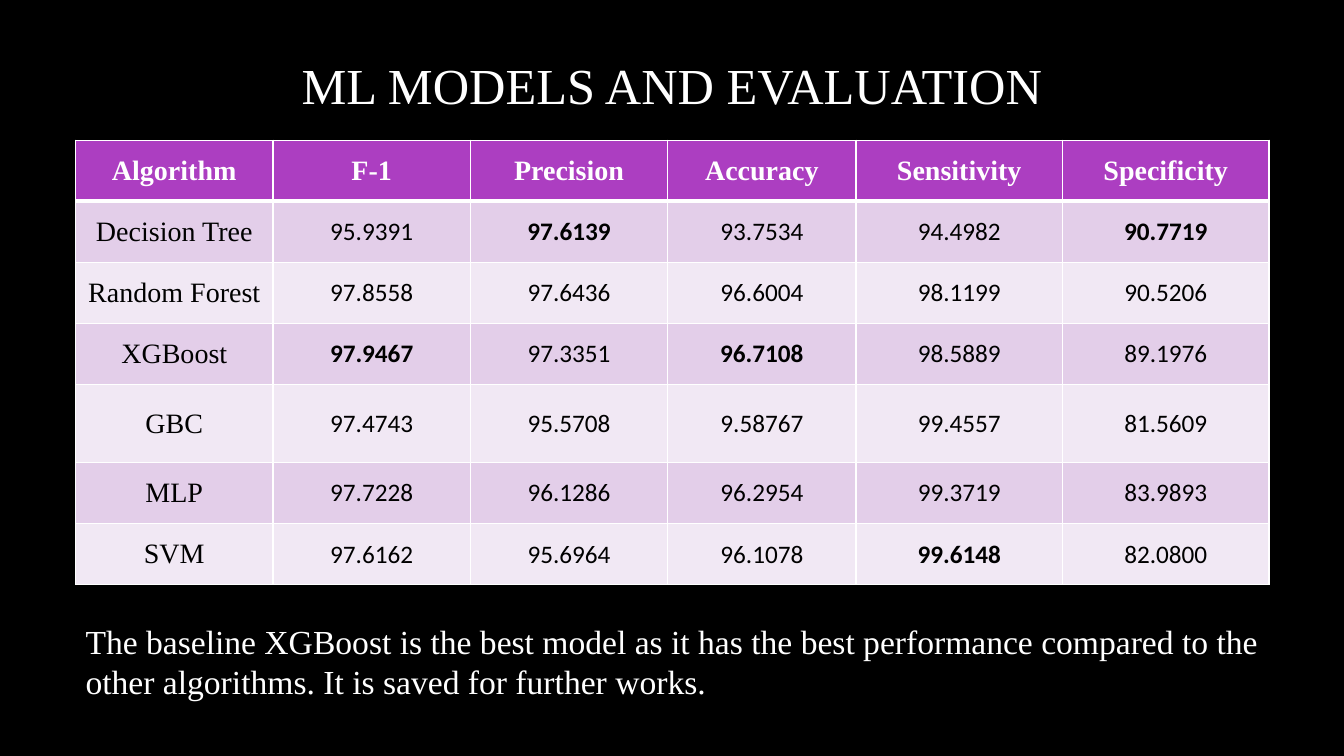
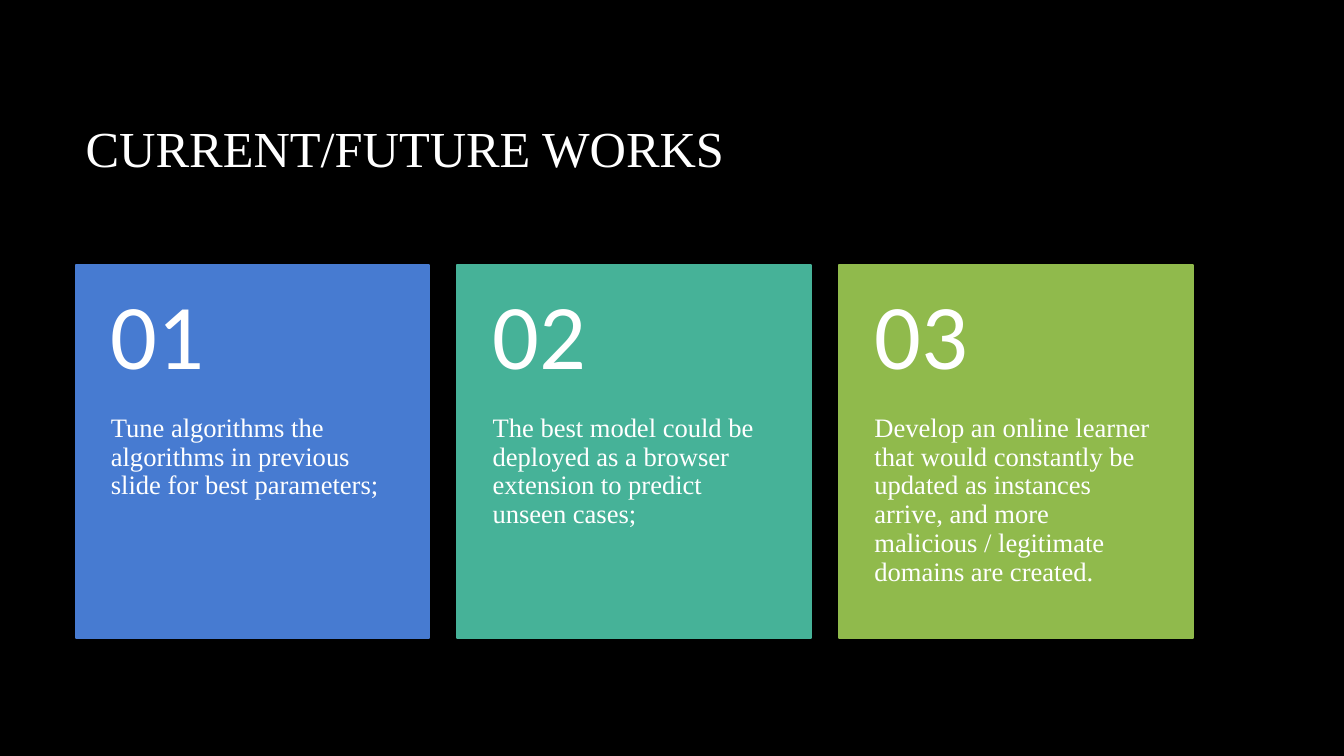
from lxml import etree
from pptx import Presentation
from pptx.dml.color import RGBColor
from pptx.enum.shapes import MSO_SHAPE
from pptx.enum.text import MSO_ANCHOR, MSO_AUTO_SIZE, PP_ALIGN
from pptx.oxml.ns import qn
from pptx.util import Pt

RECTANGLE = MSO_SHAPE.RECTANGLE
TOP, MIDDLE = MSO_ANCHOR.TOP, MSO_ANCHOR.MIDDLE
LEFT, CENTER = PP_ALIGN.LEFT, PP_ALIGN.CENTER
NO_AUTOFIT = MSO_AUTO_SIZE.NONE

BLACK = RGBColor(0x00, 0x00, 0x00)
WHITE = RGBColor(0xFF, 0xFF, 0xFF)
PURPLE = RGBColor(0xAC, 0x3E, 0xC1)
BANDS = (RGBColor(0xE3, 0xCE, 0xE9), RGBColor(0xF1, 0xE8, 0xF4))
BLUE = RGBColor(0x47, 0x7B, 0xD1)
TEAL = RGBColor(0x46, 0xB2, 0x98)
GREEN = RGBColor(0x90, 0xBA, 0x4C)

SERIF, SANS = "Times New Roman", "Calibri"
TITLE_FONT = {"name": SERIF, "size": Pt(36)}
CAPTION_FONT = {"name": SERIF, "size": Pt(24)}
HEADER_FONT = {"name": SERIF, "size": Pt(20), "bold": True}
ALGORITHM_FONT = {"name": SERIF, "size": Pt(20), "bold": False}
SCORE_FONT = {"name": SANS, "size": Pt(18), "bold": False}
BEST_FONT = {**SCORE_FONT, "bold": True}
NUMBER_FONT = {"name": SANS, "size": Pt(66)}
WORK_FONT = {"name": SERIF, "size": Pt(19)}

SLIDE_SIZE = (960, 540)
MARGIN = 54

EVALUATION_TITLE = "ML MODELS AND EVALUATION"
MEASURES = ("Algorithm", "F-1", "Precision", "Accuracy", "Sensitivity", "Specificity")
SCORES = (
    ("Decision Tree", "95.9391", "97.6139", "93.7534", "94.4982", "90.7719"),
    ("Random Forest", "97.8558", "97.6436", "96.6004", "98.1199", "90.5206"),
    ("XGBoost", "97.9467", "97.3351", "96.7108", "98.5889", "89.1976"),
    ("GBC", "97.4743", "95.5708", "9.58767", "99.4557", "81.5609"),
    ("MLP", "97.7228", "96.1286", "96.2954", "99.3719", "83.9893"),
    ("SVM", "97.6162", "95.6964", "96.1078", "99.6148", "82.0800"),
)
HIGHLIGHTED = {"97.9467", "97.6139", "96.7108", "99.6148", "90.7719"}
COLUMN_WIDTHS = (141, 141, 141, 134.5, 147.5, 147.5)
ROW_HEIGHTS = (43.6, 43.6, 43.6, 43.6, 56, 43.6, 43.6)
CAPTION = ("The baseline XGBoost is the best model as it has the best performance "
           "compared to the other algorithms. It is saved for further works.")

WORKS_TITLE = "CURRENT/FUTURE WORKS"
WORKS = (
    (BLUE, "Tune algorithms the algorithms in previous slide for best parameters;"),
    (TEAL, "The best model could be deployed as a browser extension to predict unseen cases;"),
    (GREEN, "Develop an online learner that would constantly be updated as instances arrive, "
            "and more malicious / legitimate domains are created."),
)
CARD_TOP, CARD_WIDTH, CARD_GAP = 189.4, 252.7, 20
NUMBER_HEIGHT, WORK_HEIGHT = 106.6, 159.8
NUMBER_INSETS = (25.2, 13, 25.2, 13)
WORK_INSETS = (25.2, 0, 25.2, 25.9)


def in_points(*lengths):
    return [Pt(length) for length in lengths]


def set_text(frame, text, font, color=WHITE, align=LEFT):
    frame.text = text
    paragraph = frame.paragraphs[0]
    paragraph.alignment = align
    run_font = paragraph.runs[0].font
    for attribute, value in font.items():
        setattr(run_font, attribute, value)
    run_font.color.rgb = color
    return paragraph


def add_titled_slide(prs, title, box, align):
    slide = prs.slides.add_slide(prs.slide_layouts[5])
    heading = slide.shapes.title
    heading.left, heading.top, heading.width, heading.height = in_points(*box)
    frame = heading.text_frame
    set_text(frame, title, TITLE_FONT, align=align)
    frame.auto_size = NO_AUTOFIT
    frame.vertical_anchor = MIDDLE
    return slide


def add_text(slide, box, text, font, anchor=TOP, insets=(7.2, 3.6, 7.2, 3.6)):
    frame = slide.shapes.add_textbox(*in_points(*box)).text_frame
    frame.word_wrap = True
    frame.vertical_anchor = anchor
    for side, inset in zip(("left", "top", "right", "bottom"), insets):
        setattr(frame, f"margin_{side}", Pt(inset))
    return set_text(frame, text, font)


def set_borders(cell, widths):
    """Draw white borders; widths holds points for left, right, top, bottom."""
    properties = cell._tc.get_or_add_tcPr()
    for index, (side, width) in enumerate(zip("LRTB", widths)):
        line = etree.Element(qn(f"a:ln{side}"), w=str(Pt(width)))
        fill = etree.SubElement(line, qn("a:solidFill"))
        etree.SubElement(fill, qn("a:srgbClr"), val=str(WHITE))
        properties.insert(index, line)


def cell_style(row, column, text):
    """Return the fill, font and text colour of a table cell."""
    if row == 0:
        return PURPLE, HEADER_FONT, WHITE
    band = BANDS[(row - 1) % 2]
    if column == 0:
        return band, ALGORITHM_FONT, BLACK
    return band, BEST_FONT if text in HIGHLIGHTED else SCORE_FONT, BLACK


def add_score_table(slide):
    rows = (MEASURES, *SCORES)
    box = in_points(MARGIN, 100.2, sum(COLUMN_WIDTHS), sum(ROW_HEIGHTS))
    table = slide.shapes.add_table(len(rows), len(MEASURES), *box).table
    table.horz_banding = False
    for column, width in zip(table.columns, COLUMN_WIDTHS):
        column.width = Pt(width)
    for row, (texts, height) in enumerate(zip(rows, ROW_HEIGHTS)):
        table.rows[row].height = Pt(height)
        for column, text in enumerate(texts):
            cell = table.cell(row, column)
            fill, font, color = cell_style(row, column, text)
            cell.fill.solid()
            cell.fill.fore_color.rgb = fill
            cell.vertical_anchor = MIDDLE
            set_text(cell.text_frame, text, font, color, CENTER)
            set_borders(cell, (1, 1, 3 if row == 1 else 1, 3 if row == 0 else 1))


def add_work_card(slide, index, color, work):
    left = MARGIN + index * (CARD_WIDTH + CARD_GAP)
    box = in_points(left, CARD_TOP, CARD_WIDTH, NUMBER_HEIGHT + WORK_HEIGHT)
    card = slide.shapes.add_shape(RECTANGLE, *box)
    card.shadow.inherit = False
    card.fill.solid()
    card.fill.fore_color.rgb = color
    card.line.color.rgb = color
    card.line.width = Pt(1.5)
    work_box = (left, CARD_TOP + NUMBER_HEIGHT, CARD_WIDTH, WORK_HEIGHT)
    number_box = (left, CARD_TOP, CARD_WIDTH, NUMBER_HEIGHT)
    for paragraph in (
        add_text(slide, work_box, work, WORK_FONT, TOP, WORK_INSETS),
        add_text(slide, number_box, f"{index + 1:02}", NUMBER_FONT, MIDDLE, NUMBER_INSETS),
    ):
        paragraph.line_spacing = 0.9


def main():
    prs = Presentation()
    prs.slide_width, prs.slide_height = in_points(*SLIDE_SIZE)
    background = prs.slide_master.background.fill
    background.solid()
    background.fore_color.rgb = BLACK

    evaluation = add_titled_slide(prs, EVALUATION_TITLE, (MARGIN, 20.2, 852, 80.6), CENTER)
    add_score_table(evaluation)
    add_text(evaluation, (MARGIN, 440, 852, 65.5), CAPTION, CAPTION_FONT)

    works = add_titled_slide(prs, WORKS_TITLE, (MARGIN, 48.2, 798, 114.5), LEFT)
    for index, (color, work) in enumerate(WORKS):
        add_work_card(works, index, color, work)

    prs.save("out.pptx")


if __name__ == "__main__":
    main()
